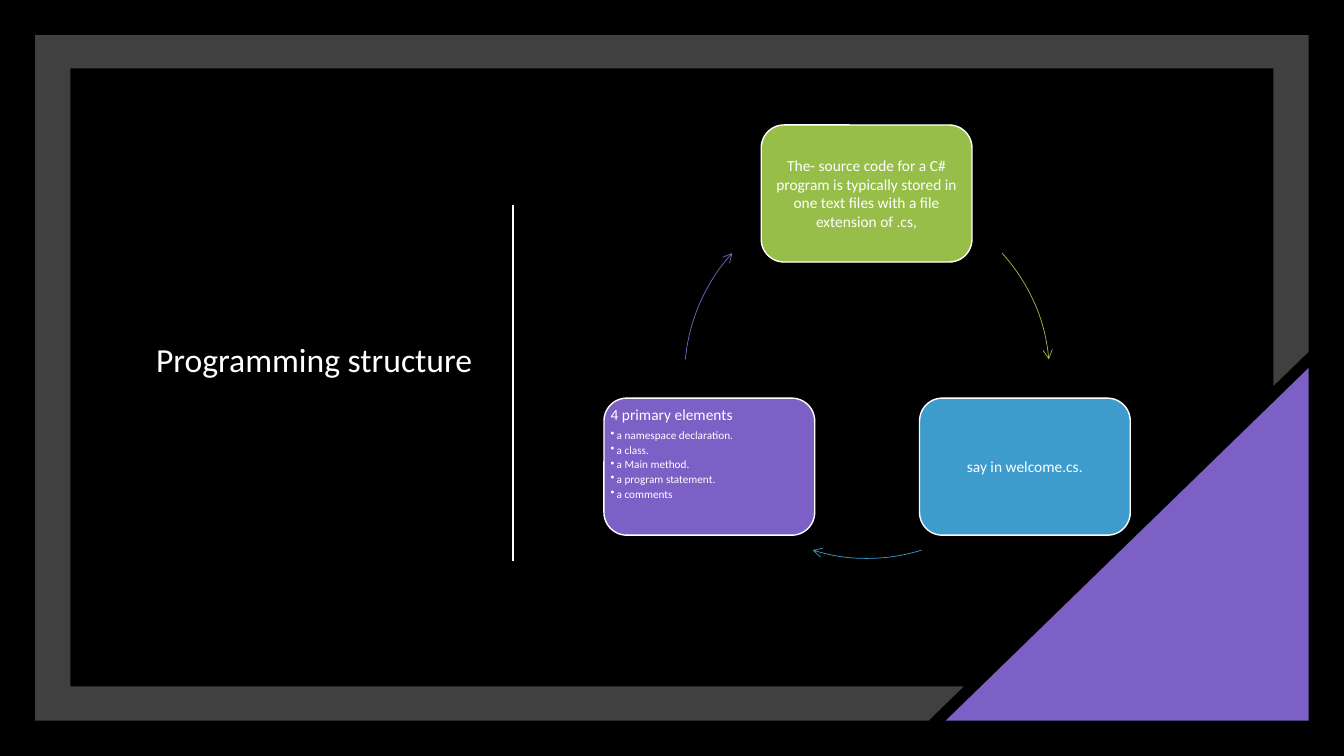
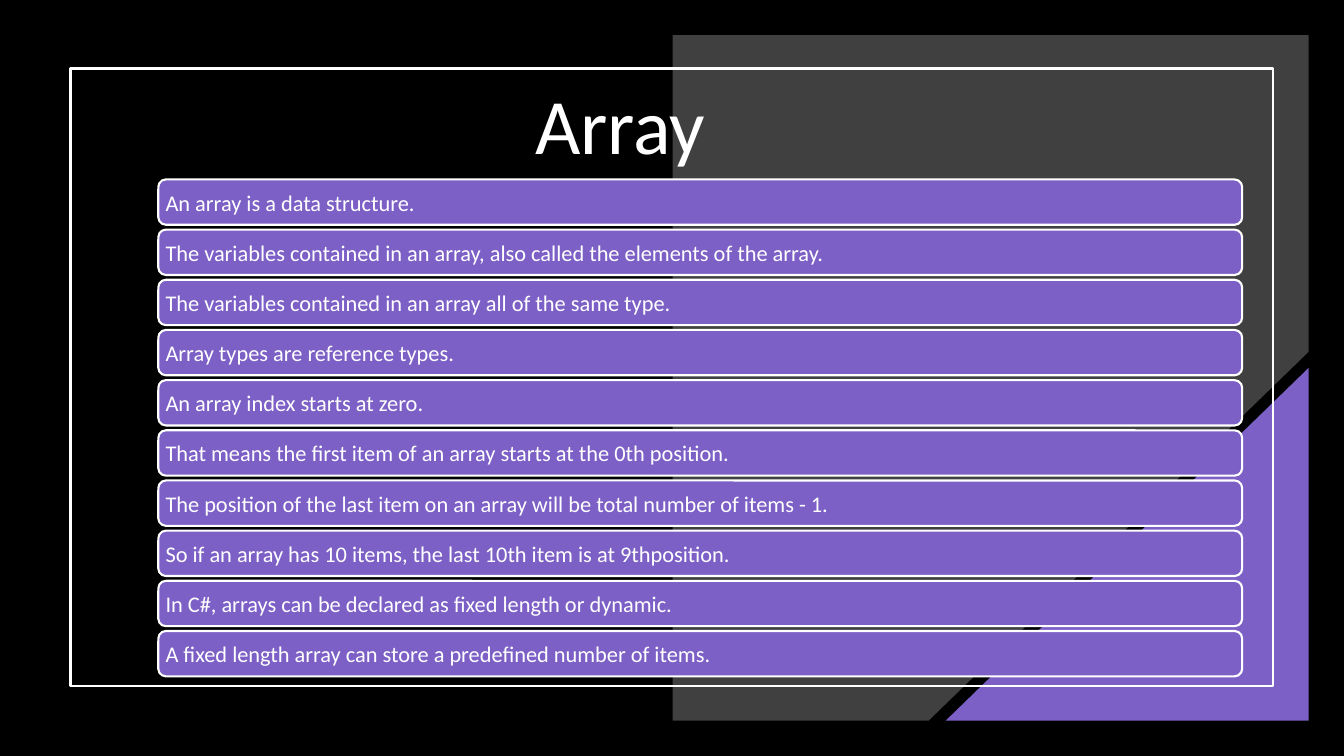
from lxml.etree import SubElement
from pptx import Presentation
from pptx.dml.color import RGBColor
from pptx.enum.shapes import MSO_CONNECTOR, MSO_SHAPE
from pptx.enum.text import MSO_ANCHOR, PP_ALIGN
from pptx.oxml.ns import qn
from pptx.util import Inches, Pt

COLORS = {
    "black": "000000",
    "white": "FFFFFF",
    "purple": "7C60C6",
    "green": "97BE49",
    "blue": "3D9CCC",
}
FONT = "Calibri"


def paint(shape, fill=None, line=None, width=1):
    shape.shadow.inherit = False
    if fill:
        shape.fill.solid()
        shape.fill.fore_color.rgb = RGBColor.from_string(COLORS[fill])
    else:
        shape.fill.background()
    if line:
        shape.line.color.rgb = RGBColor.from_string(COLORS[line])
        shape.line.width = Pt(width)
    else:
        shape.line.fill.background()


def write(shape, lines, size, align=PP_ALIGN.LEFT, anchor=MSO_ANCHOR.MIDDLE, margin=0.1):
    frame = shape.text_frame
    frame.word_wrap = True
    frame.vertical_anchor = anchor
    frame.margin_left = frame.margin_right = Inches(margin)
    frame.margin_top = frame.margin_bottom = Inches(margin)
    frame.text = "\n".join(lines)
    for paragraph in frame.paragraphs:
        paragraph.alignment = align
        paragraph.font.name = FONT
        paragraph.font.size = Pt(size)
        paragraph.font.color.rgb = RGBColor.from_string(COLORS["white"])
    return frame.paragraphs


presentation = Presentation()
presentation.slide_width = Inches(13.33)
presentation.slide_height = Inches(7.5)
background = presentation.slide_master.background.fill
background.solid()
background.fore_color.rgb = RGBColor.from_string(COLORS["black"])

frame_outline = [
    (0.35, 0.35), (12.98, 0.35), (12.98, 3.49), (12.63, 3.83), (12.63, 0.68),
    (0.7, 0.68), (0.7, 6.81), (9.56, 6.81), (9.21, 7.15), (0.35, 7.15),
]
half_outline = [(6.67, 0.35), (12.98, 0.35), (12.98, 3.49), (9.21, 7.15), (6.67, 7.15)]

slides = []
for outline in (frame_outline, half_outline):
    slide = presentation.slides.add_slide(presentation.slide_layouts[6])
    points = [(Inches(x), Inches(y)) for x, y in outline]
    builder = slide.shapes.build_freeform(*points[0])
    builder.add_line_segments(points[1:], close=True)
    panel = builder.convert_to_shape()
    paint(panel, "white")
    panel_color = panel._element.spPr.find(".//" + qn("a:srgbClr"))
    SubElement(panel_color, qn("a:alpha"), val="25000")

    corner = slide.shapes.add_shape(
        MSO_SHAPE.RIGHT_TRIANGLE, Inches(9.38), Inches(3.65), Inches(3.6), Inches(3.5))
    corner._element.spPr.find(qn("a:xfrm")).set("flipH", "1")
    paint(corner, "purple")
    slides.append(slide)

structure_slide, array_slide = slides

divider = structure_slide.shapes.add_connector(
    MSO_CONNECTOR.STRAIGHT, Inches(5.09), Inches(2.03), Inches(5.09), Inches(5.57))
divider.line.color.rgb = RGBColor.from_string(COLORS["white"])
divider.line.width = Pt(1.5)
SubElement(divider._element.spPr, qn("a:effectLst"))

title = structure_slide.shapes.add_textbox(Inches(1.45), Inches(3.06), Inches(3.75), Inches(1))
write(title, ["Programming structure"], 24)

elements = [
    "4 primary elements",
    "a namespace declaration.",
    "a class.",
    "a Main method.",
    "a program statement.",
    "a comments",
]
source_text = ("The- source code for a C# program is typically stored in "
               "one text files with a file extension of .cs,")
steps = [
    ("green", 7.55, 1.24, [source_text], 317.65, 354.78),
    ("blue", 9.12, 3.95, ["say in welcome.cs."], 72.65, 107.35),
    ("purple", 5.99, 3.95, elements, 185.22, 222.35),
]
for color, left, top, lines, start, end in steps:
    card = structure_slide.shapes.add_shape(
        MSO_SHAPE.ROUNDED_RECTANGLE, Inches(left), Inches(top), Inches(2.09), Inches(1.36))
    paint(card, color, "white")
    is_list = len(lines) > 1
    heading, *bullets = write(
        card, lines, 11,
        PP_ALIGN.LEFT if is_list else PP_ALIGN.CENTER,
        MSO_ANCHOR.TOP if is_list else MSO_ANCHOR.MIDDLE,
        margin=0)
    if is_list:
        heading.space_after = Pt(3.5)
    for bullet in bullets:
        bullet.level = 1
        bullet.font.size = Pt(8)
        bullet.space_after = Pt(1)
        properties = bullet._p.get_or_add_pPr()
        properties.set("marL", str(Inches(0.06)))
        properties.set("indent", str(-Inches(0.06)))
        mark = properties.makeelement(qn("a:buChar"), {"char": "•"})
        properties.find(qn("a:defRPr")).addprevious(mark)

    arc = structure_slide.shapes.add_shape(
        MSO_SHAPE.ARC, Inches(6.79), Inches(1.92), Inches(3.62), Inches(3.62))
    arc.adjustments[0] = start * 0.6
    arc.adjustments[1] = end * 0.6
    paint(arc, line=color, width=0.5)
    SubElement(arc._element.spPr.find(qn("a:ln")), qn("a:tailEnd"), type="arrow")

border = array_slide.shapes.add_shape(
    MSO_SHAPE.RECTANGLE, Inches(0.7), Inches(0.68), Inches(11.93), Inches(6.13))
paint(border, line="white", width=1.5)

title = array_slide.shapes.add_textbox(Inches(5.21), Inches(0.72), Inches(4.97), Inches(1))
write(title, ["Array"], 56)

facts = [
    "An array is a data structure.",
    "The variables contained in an array, also called the elements of the array.",
    "The variables contained in an array all of the same type.",
    "Array types are reference types.",
    "An array index starts at zero.",
    "That means the first item of an array starts at the 0th position.",
    "The position of the last item on an array will be total number of items - 1.",
    "So if an array has 10 items, the last 10th item is at 9thposition.",
    "In C#, arrays can be declared as fixed length or dynamic.",
    "A fixed length array can store a predefined number of items.",
]
first_top, last_top = 1.78, 6.26
pitch = (last_top - first_top) / (len(facts) - 1)
for index, fact in enumerate(facts):
    bar = array_slide.shapes.add_shape(
        MSO_SHAPE.ROUNDED_RECTANGLE,
        Inches(1.57), Inches(first_top + index * pitch), Inches(10.75), Inches(0.45))
    paint(bar, "purple", "white", 1.5)
    write(bar, [fact], 16, margin=0.05)

presentation.save("out.pptx")
